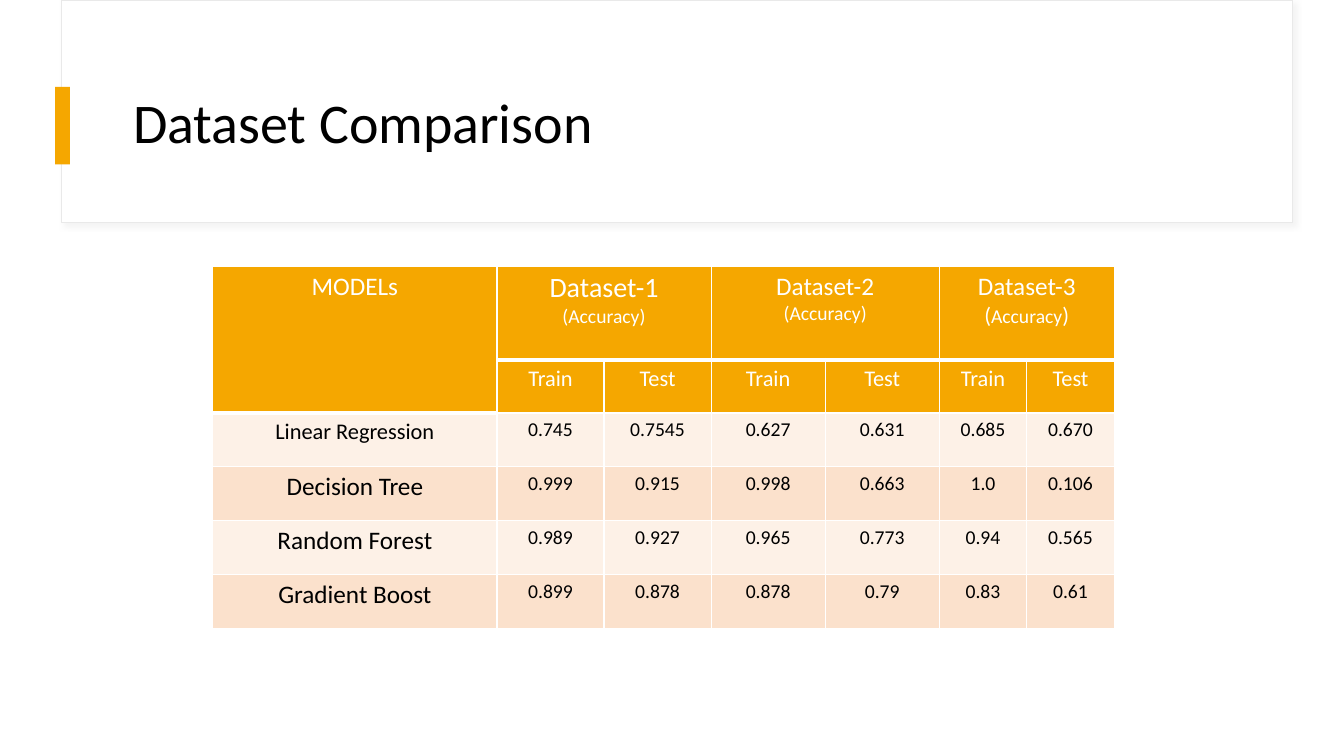
import dataclasses

import lxml.etree
import pptx
import pptx.dml.color
import pptx.enum.shapes
import pptx.enum.text
import pptx.oxml
import pptx.oxml.ns
import pptx.util

Pt = pptx.util.Pt
RECTANGLE = pptx.enum.shapes.MSO_SHAPE.RECTANGLE


@dataclasses.dataclass(frozen=True)
class Theme:
    font: str = "Calibri"
    accent: str = "F5A700"
    white: str = "FFFFFF"
    black: str = "000000"
    frame: str = "E9E9E9"
    shadow: str = "D9D9D9"
    bands: tuple = ("FDF1E7", "FBE1CC")
    title: int = 40
    large: int = 20
    heading: int = 18
    label: int = 16
    value: int = 14


THEME = Theme()
COLUMNS = (203, 76.5, 76.5, 81.5, 81.5, 62.5, 62.5)
ROWS = (67, 38, 38.5, 38.5, 38.5, 38.5)
# Each heading gives its name size and the pieces of its second line.
DATASETS = (
    ("Dataset-1", THEME.large, [("(Accuracy)", THEME.value)]),
    ("Dataset-2", THEME.heading, [("(Accuracy)", THEME.value)]),
    ("Dataset-3", THEME.heading,
     [("(", THEME.label), ("Accuracy", THEME.value), (")", THEME.label)]),
)
MODELS = (
    ("Linear Regression", THEME.label, "0.745 0.7545 0.627 0.631 0.685 0.670"),
    ("Decision Tree", THEME.heading, "0.999 0.915 0.998 0.663 1.0 0.106"),
    ("Random Forest", THEME.heading, "0.989 0.927 0.965 0.773 0.94 0.565"),
    ("Gradient Boost", THEME.heading, "0.899 0.878 0.878 0.79 0.83 0.61"),
)


def color(value):
    return pptx.dml.color.RGBColor.from_string(value)


def style_font(font, size, tint):
    font.name = THEME.font
    font.size = Pt(size)
    font.color.rgb = color(tint)


def add_rectangle(page, left, top, width, height, fill):
    box = page.shapes.add_shape(RECTANGLE, Pt(left), Pt(top), Pt(width), Pt(height))
    box.shadow.inherit = False
    box.fill.solid()
    box.fill.fore_color.rgb = color(fill)
    box.line.fill.background()
    return box


def add_soft_shadow(box):
    effects = box._element.spPr.find(pptx.oxml.ns.qn("a:effectLst"))
    effects.append(pptx.oxml.parse_xml(
        f'<a:outerShdw {pptx.oxml.ns.nsdecls("a")} blurRad="{Pt(4)}" dist="{Pt(3)}"'
        f' dir="2700000" algn="tl" rotWithShape="0"><a:srgbClr val="{THEME.shadow}">'
        '<a:alpha val="30000"/></a:srgbClr></a:outerShdw>'))


def add_title_panel(page, left, top, width, height):
    panel = add_rectangle(page, left, top, width, height, THEME.white)
    panel.line.color.rgb = color(THEME.frame)
    panel.line.width = Pt(0.75)
    add_soft_shadow(panel)
    add_rectangle(page, left - 4.5, top + 62, 10.5, 55.5, THEME.accent)
    title = page.shapes.add_textbox(
        Pt(left + 44), Pt(top + 43), Pt(width - 78), Pt(93))
    frame = title.text_frame
    frame.word_wrap = True
    frame.vertical_anchor = pptx.enum.text.MSO_ANCHOR.MIDDLE
    frame.text = "Dataset Comparison"
    para = frame.paragraphs[0]
    para.line_spacing = 0.9
    style_font(para.runs[0].font, THEME.title, THEME.black)


def set_borders(cell, heavy_sides):
    properties = cell._tc.get_or_add_tcPr()
    for index, side in enumerate("LRTB"):
        width = 3 if side in heavy_sides else 1
        properties.insert(index, pptx.oxml.parse_xml(
            f'<a:ln{side} {pptx.oxml.ns.nsdecls("a")} w="{Pt(width)}"><a:solidFill>'
            f'<a:srgbClr val="{THEME.white}"/></a:solidFill></a:ln{side}>'))


def fill_cell(cell, lines, tint):
    """Write lines, each a list of (text, size) spans, centred in the cell."""
    frame = cell.text_frame
    for index, spans in enumerate(lines):
        para = frame.add_paragraph() if index else frame.paragraphs[0]
        para.alignment = pptx.enum.text.PP_ALIGN.CENTER
        for text, size in spans:
            span = para.add_run()
            span.text = text
            style_font(span.font, size, tint)


def style_grid(table):
    for row in range(len(ROWS)):
        fill = THEME.accent if row < 2 else THEME.bands[row % 2]
        for column in range(len(COLUMNS)):
            cell = table.cell(row, column)
            cell.fill.solid()
            cell.fill.fore_color.rgb = color(fill)
            rule_row = 1 if column == 0 else 0
            heavy = {rule_row: "B", rule_row + 1: "T"}.get(row, "")
            set_borders(cell, heavy)


def add_accuracy_table(page, left, top):
    table = page.shapes.add_table(
        len(ROWS), len(COLUMNS), Pt(left), Pt(top),
        Pt(sum(COLUMNS)), Pt(sum(ROWS))).table
    table.first_row = table.horz_banding = False
    for column, width in zip(table.columns, COLUMNS):
        column.width = Pt(width)
    for row, height in zip(table.rows, ROWS):
        row.height = Pt(height)
    style_grid(table)

    table.cell(0, 0).merge(table.cell(1, 0))
    fill_cell(table.cell(0, 0), [[("MODELs", THEME.heading)]], THEME.white)
    for index, (name, size, note) in enumerate(DATASETS):
        first = 1 + 2 * index
        table.cell(0, first).merge(table.cell(0, first + 1))
        fill_cell(table.cell(0, first), [[(name, size)], note], THEME.white)
        for offset, part in enumerate(("Train", "Test")):
            fill_cell(table.cell(1, first + offset), [[(part, THEME.label)]], THEME.white)
    for row, (name, size, scores) in enumerate(MODELS, start=2):
        fill_cell(table.cell(row, 0), [[(name, size)]], THEME.black)
        for column, score in enumerate(scores.split(), start=1):
            fill_cell(table.cell(row, column), [[(score, THEME.value)]], THEME.black)


def main():
    deck = pptx.Presentation()
    deck.slide_width, deck.slide_height = Pt(960), Pt(540)
    page = deck.slides.add_slide(deck.slide_layouts[6])
    page.background.fill.solid()
    page.background.fill.fore_color.rgb = color(THEME.white)
    add_title_panel(page, 44, 0, 879, 159)
    add_accuracy_table(page, 152, 190)
    deck.save("out.pptx")


if __name__ == "__main__":
    main()
